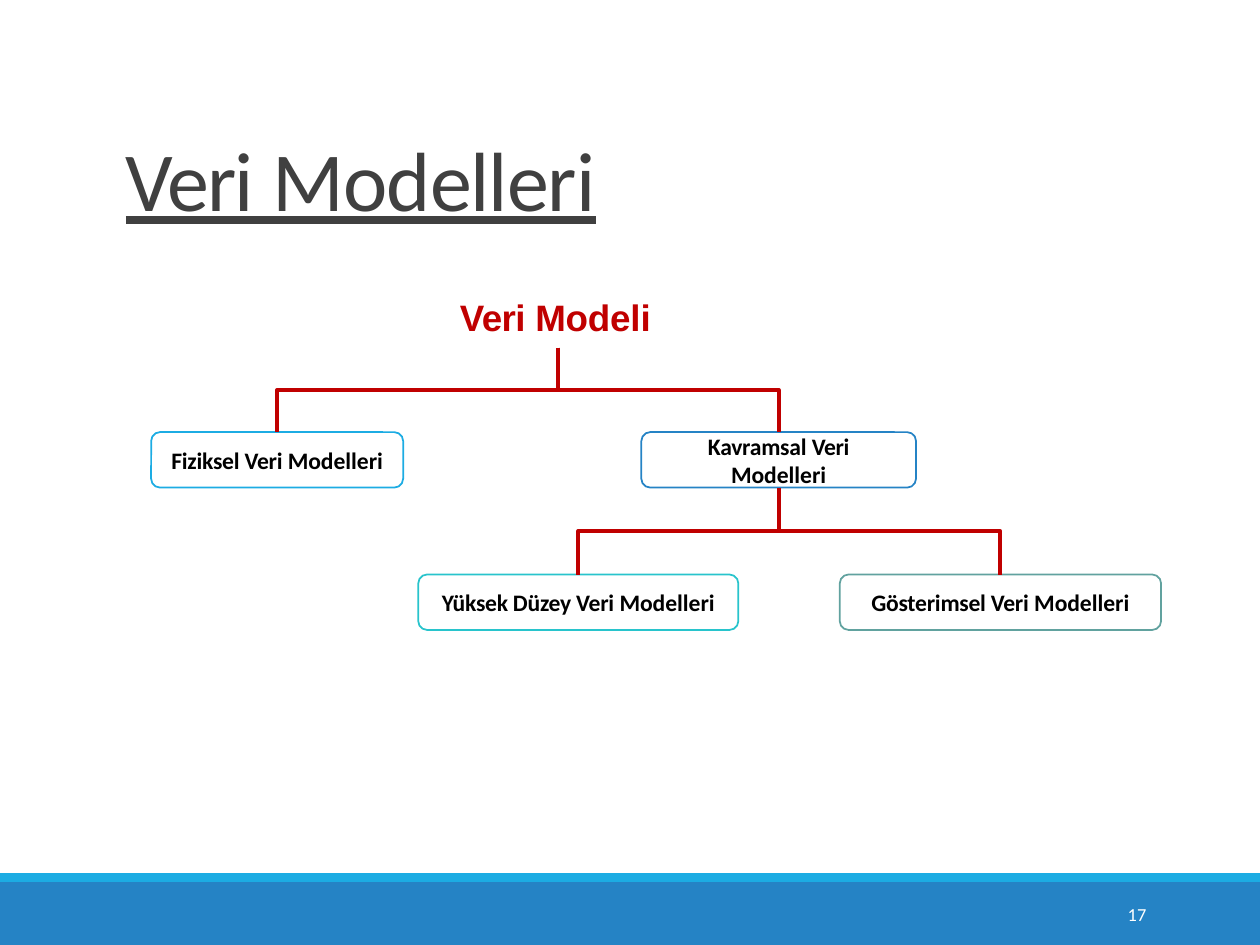
from pptx import Presentation
from pptx.dml.color import RGBColor
from pptx.enum.shapes import MSO_SHAPE as SHAPE
from pptx.enum.text import MSO_ANCHOR as ANCHOR, PP_ALIGN as ALIGN
from pptx.util import Inches, Pt


def rgb(hex_color):
    return RGBColor.from_string(hex_color)


class Deck:
    font = "Calibri"
    red = "C00000"
    box_height = 0.44

    def __init__(self):
        self.prs = Presentation()
        self.prs.slide_width, self.prs.slide_height = Inches(10), Inches(7.5)
        self.s = self.prs.slides.add_slide(self.prs.slide_layouts[6])

    def fill_text(self, tf, lines, size, color, bold=False, underline=False,
                  font=None, align=ALIGN.LEFT):
        """Each line is a list of (text, letter spacing in points) runs."""
        tf.margin_left = tf.margin_top = tf.margin_right = tf.margin_bottom = 0
        for i, runs in enumerate(lines):
            p = tf.add_paragraph() if i else tf.paragraphs[0]
            p.alignment = align
            f = p.font
            f.name, f.size, f.bold = font or self.font, Pt(size), bold
            f.underline = underline
            f.color.rgb = rgb(color)
            for text, spacing in runs:
                r = p.add_run()
                r.text = text
                r._r.get_or_add_rPr().set("spc", str(round(spacing * 100)))

    def text(self, x, y, w, h, runs, size, color, **style):
        tf = self.s.shapes.add_textbox(
            Inches(x), Inches(y), Inches(w), Inches(h)).text_frame
        tf.word_wrap = True
        self.fill_text(tf, [runs], size, color, **style)
        tf.margin_top = Inches(0.01)
        return tf

    def bar(self, y, h, color):
        sp = self.s.shapes.add_shape(
            SHAPE.RECTANGLE, 0, Inches(y), Inches(10), Inches(h))
        sp.shadow.inherit = False
        sp.fill.solid()
        sp.fill.fore_color.rgb = rgb(color)
        sp.line.fill.background()

    def box(self, center, y, w, color, lines):
        sp = self.s.shapes.add_shape(
            SHAPE.ROUNDED_RECTANGLE, Inches(center - w / 2), Inches(y),
            Inches(w), Inches(self.box_height))
        sp.adjustments[0] = 0.16
        sp.shadow.inherit = False
        sp.fill.background()
        sp.line.color.rgb = rgb(color)
        sp.line.width = Pt(1)
        tf = sp.text_frame
        tf.word_wrap = True
        tf.vertical_anchor = ANCHOR.MIDDLE
        self.fill_text(tf, lines, 13.5, "000000", bold=True, align=ALIGN.CENTER)

    def branch(self, x1, y1, x2, y2):
        """Draw an elbow that turns halfway between two levels."""
        mid = (y1 + y2) / 2
        fb = self.s.shapes.build_freeform(Inches(x1), Inches(y1))
        fb.add_line_segments(
            [(Inches(x), Inches(y)) for x, y in ((x1, mid), (x2, mid), (x2, y2))],
            close=False)
        sp = fb.convert_to_shape()
        sp.shadow.inherit = False
        sp.fill.background()
        sp.line.color.rgb = rgb(self.red)
        sp.line.width = Pt(2.25)


def main():
    deck = Deck()

    # Footer bands
    deck.bar(7, 0.5, "2583C5")
    deck.bar(6.93, 0.07, "1CACE3")

    # Title and root of the tree
    deck.text(1, 1, 8.17, 0.83, [("Veri", -1.1), (" ", -1.5), ("Modelleri", -0.6)],
              48, "404040", underline=True)
    deck.text(3.65, 2.33, 1.7, 0.38, [("Veri ", -0.3), ("Modeli", -0.1)],
              21, deck.red, bold=True, font="Arial")

    # Model boxes
    root_x, root_y = 4.43, 2.76
    level1, level2 = 3.43, 4.56
    physical, conceptual, high_level, representational = 2.2, 6.18, 4.59, 7.94
    models = ("Modelleri", 0)
    deck.box(physical, level1, 2, "1CACE3", [[("Fiziksel Veri ", -0.1), models]])
    deck.box(conceptual, level1, 2.18, "2583C5",
             [[("Kavramsal ", -0.1), ("Veri", -0.2)], [models]])
    deck.box(high_level, level2, 2.54, "28C4CC",
             [[("Yüksek Düzey Veri ", -0.1), models]])
    deck.box(representational, level2, 2.55, "61A29F",
             [[("Gösterimsel Veri ", -0.1), models]])

    # Branches
    for child in (physical, conceptual):
        deck.branch(root_x, root_y, child, level1)
    for child in (high_level, representational):
        deck.branch(conceptual, level1 + deck.box_height, child, level2)

    # Page number
    tf = deck.text(8.95, 7.18, 0.21, 0.17, [("17", 0.1)], 10.5, "FFFFFF")
    tf.paragraphs[0].line_spacing = Pt(11.1)

    deck.prs.save("out.pptx")


if __name__ == "__main__":
    main()
